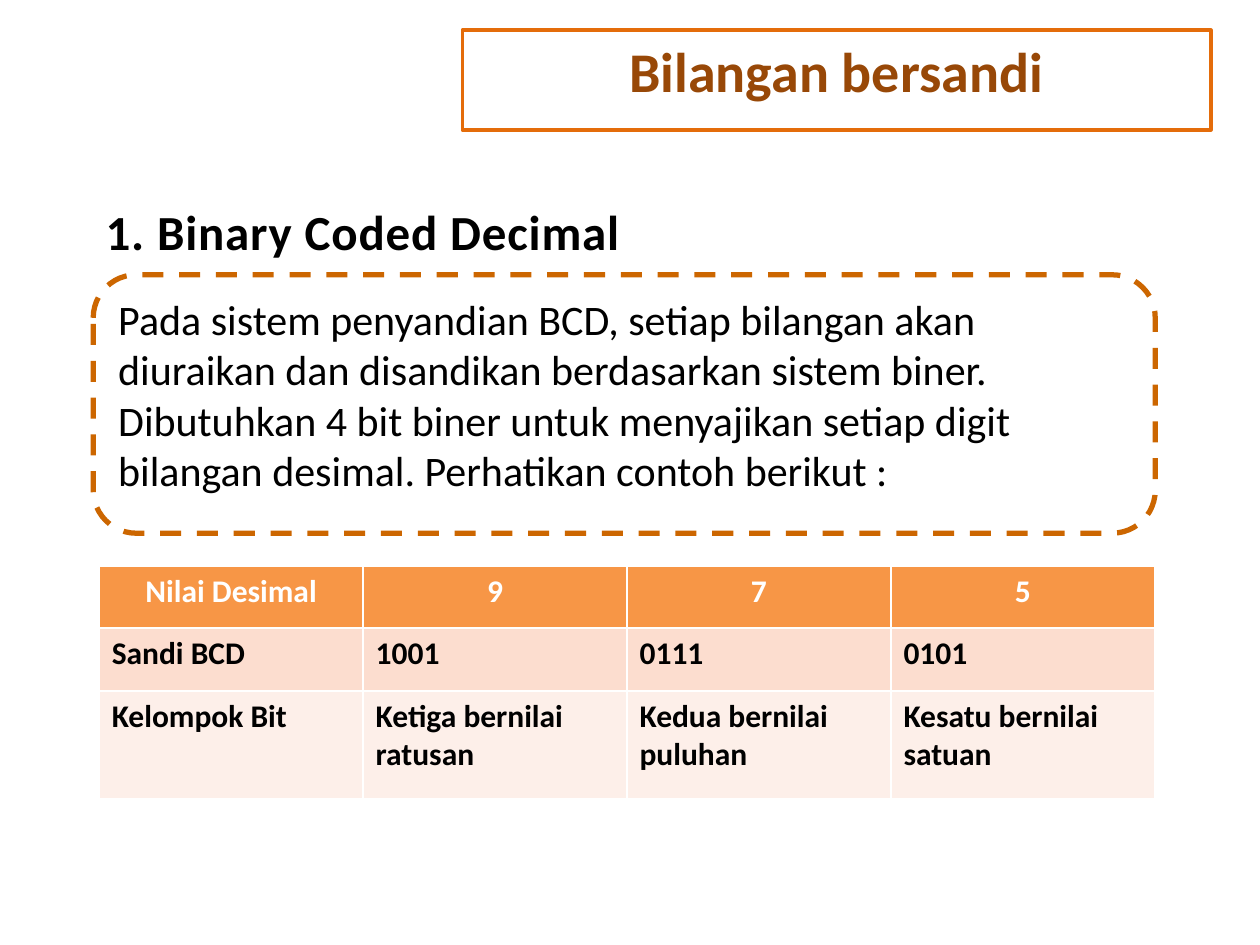
from pptx import Presentation
from pptx.dml.color import RGBColor
from pptx.enum.dml import MSO_LINE
from pptx.enum.shapes import MSO_SHAPE
from pptx.enum.text import MSO_ANCHOR, PP_ALIGN
from pptx.util import Cm, Pt

RECTANGLE, ROUNDED = MSO_SHAPE.RECTANGLE, MSO_SHAPE.ROUNDED_RECTANGLE
LEFT, CENTER, TOP = PP_ALIGN.LEFT, PP_ALIGN.CENTER, MSO_ANCHOR.TOP
DASH = MSO_LINE.DASH

WHITE = RGBColor(0xFF, 0xFF, 0xFF)
BLACK = RGBColor(0x00, 0x00, 0x00)
ORANGE = RGBColor(0xE4, 0x6C, 0x0A)
BROWN = RGBColor(0x98, 0x48, 0x07)
DARK_ORANGE = RGBColor(0xCC, 0x66, 0x00)
HEADER_FILL = RGBColor(0xF7, 0x96, 0x46)
BODY_FILLS = [RGBColor(0xFC, 0xDD, 0xCF), RGBColor(0xFD, 0xEF, 0xE9)]

TITLE = "Bilangan bersandi"
HEADING = "1. Binary Coded Decimal"
EXPLANATION = (
    "Pada sistem penyandian BCD, setiap bilangan akan diuraikan dan disandikan "
    "berdasarkan sistem biner. Dibutuhkan 4 bit biner untuk menyajikan setiap "
    "digit bilangan desimal. Perhatikan contoh berikut :"
)
BCD_ROWS = [
    ("Nilai Desimal", "9", "7", "5"),
    ("Sandi BCD", "1001", "0111", "0101"),
    ("Kelompok Bit", "Ketiga bernilai ratusan", "Kedua bernilai puluhan",
     "Kesatu bernilai satuan"),
]
ROW_HEIGHTS = [1.24, 1.27, 2.18]
COLUMN_WIDTH = 5.32


def write(text_frame, text, size, color, bold=False, alignment=LEFT):
    text_frame.word_wrap = True
    text_frame.vertical_anchor = TOP
    paragraph = text_frame.paragraphs[0]
    paragraph.text = text
    paragraph.alignment = alignment
    font = paragraph.font
    font.name, font.size, font.bold = "Calibri", Pt(size), bold
    font.color.rgb = color
    return paragraph


def add_box(slide, kind, position, line_color, line_width):
    shape = slide.shapes.add_shape(kind, *map(Cm, position))
    shape.shadow.inherit = False
    shape.line.color.rgb = line_color
    shape.line.width = Pt(line_width)
    return shape


def add_bcd_table(slide):
    column_count = len(BCD_ROWS[0])
    table = slide.shapes.add_table(
        len(BCD_ROWS), column_count, Cm(2), Cm(11.42),
        Cm(COLUMN_WIDTH * column_count), Cm(sum(ROW_HEIGHTS))).table
    for column in table.columns:
        column.width = Cm(COLUMN_WIDTH)
    fills = [HEADER_FILL] + BODY_FILLS
    for r, (values, height, fill) in enumerate(zip(BCD_ROWS, ROW_HEIGHTS, fills)):
        table.rows[r].height = Cm(height)
        color, alignment = (BLACK, LEFT) if r else (WHITE, CENTER)
        for c, value in enumerate(values):
            cell = table.cell(r, c)
            cell.fill.solid()
            cell.fill.fore_color.rgb = fill
            write(cell.text_frame, value, 18, color, True, alignment)


def main():
    presentation = Presentation()
    presentation.slide_width, presentation.slide_height = Cm(25.4), Cm(19.05)
    slide = presentation.slides.add_slide(presentation.slide_layouts[6])

    title = add_box(slide, RECTANGLE, (9.32, 0.61, 15.09, 2.01), ORANGE, 2)
    title.fill.solid()
    title.fill.fore_color.rgb = WHITE
    write(title.text_frame, TITLE, 32, BROWN, True, CENTER)

    heading = slide.shapes.add_textbox(Cm(1.88), Cm(3.94), Cm(12.32), Cm(1.19))
    paragraph = write(heading.text_frame, HEADING, 28, BLACK, True)
    paragraph.runs[0].font._element.set("spc", "50")

    explanation = add_box(slide, ROUNDED, (1.88, 5.54, 21.41, 5.21), DARK_ORANGE, 3)
    explanation.fill.background()
    explanation.line.dash_style = DASH
    write(explanation.text_frame, EXPLANATION, 24, BLACK)

    add_bcd_table(slide)
    presentation.save("out.pptx")


if __name__ == "__main__":
    main()
